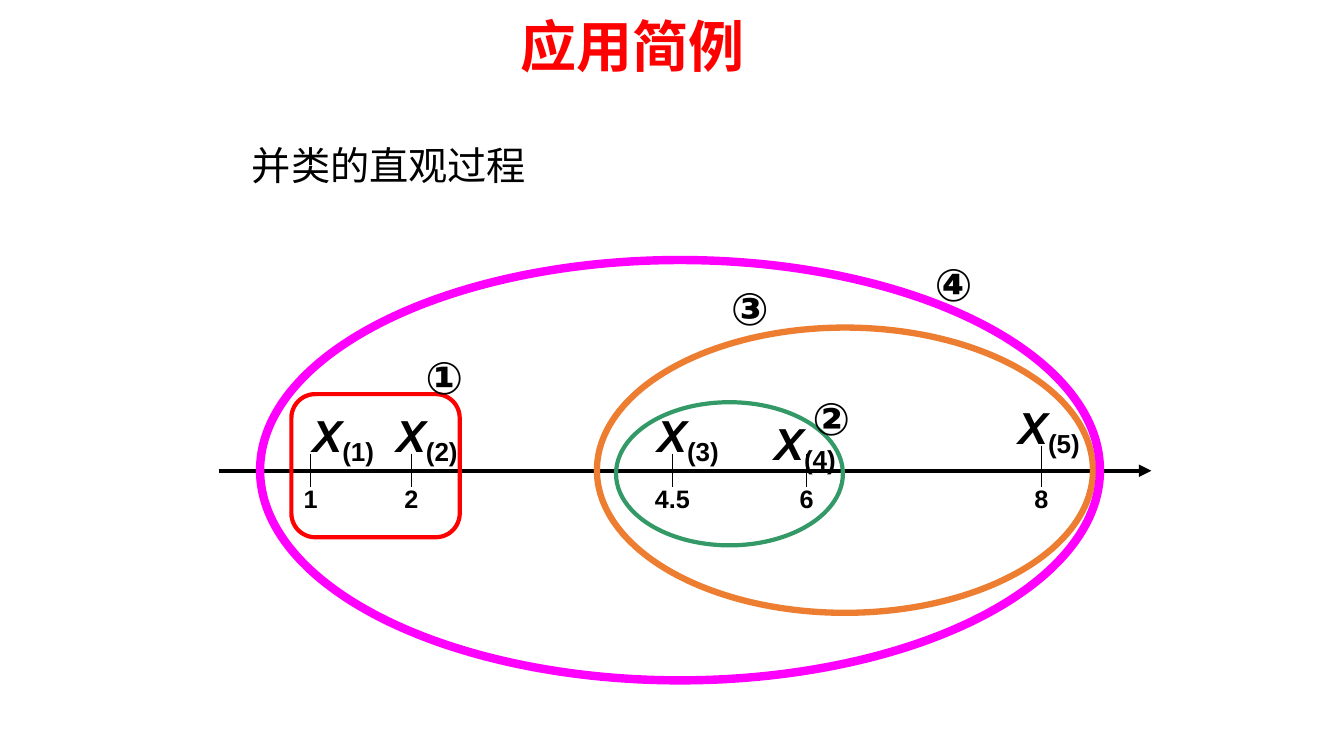
from dataclasses import dataclass

from lxml.etree import SubElement
from pptx import Presentation
from pptx.dml.color import RGBColor
from pptx.enum.shapes import MSO_CONNECTOR, MSO_SHAPE
from pptx.enum.text import MSO_ANCHOR, PP_ALIGN
from pptx.oxml.ns import qn
from pptx.util import Inches, Pt


@dataclass(frozen=True)
class Theme:
    latin: str = "Arial"
    chinese: str = "Noto Sans CJK SC"
    ink: str = "000000"
    red: str = "FF0000"
    green: str = "339966"
    orange: str = "ED7D31"
    magenta: str = "FF00FF"
    title_size: int = 40
    symbol_size: int = 32
    subtitle_size: int = 28
    value_size: int = 18


THEME = Theme()
AXIS_Y = 4.67
TICK_BOTTOM = 4.83

# value, tick x, tick top, left and top of the sample name
SAMPLES = [
    ("1", 3.08, 4.5, 3, 4),
    ("2", 4.08, 4.5, 3.83, 4),
    ("4.5", 6.67, 4.5, 6.42, 4),
    ("6", 8, 4.5, 7.58, 4.08),
    ("8", 10.33, 4.42, 10, 3.92),
]

# preset, position and size, colour, line width
CLUSTERS = [
    (MSO_SHAPE.ROUNDED_RECTANGLE, (2.89, 3.91, 1.67, 1.42), THEME.red, 3),
    (MSO_SHAPE.OVAL, (6.11, 3.99, 2.25, 1.42), THEME.green, 3),
    (MSO_SHAPE.OVAL, (5.92, 3.25, 4.92, 2.83), THEME.orange, 4.5),
    (MSO_SHAPE.OVAL, (2.58, 2.58, 8.33, 4.17), THEME.magenta, 6),
]

# merge step, left, top
STEPS = [("①", 4.12, 3.42), ("②", 7.96, 3.83), ("③", 7.15, 2.74), ("④", 9.17, 2.5)]


def place(sp, left, top, width, height):
    sp.left, sp.top = Inches(left), Inches(top)
    sp.width, sp.height = Inches(width), Inches(height)


def add_run(p, text, size, color=THEME.ink, bold=True, italic=False,
            latin=THEME.latin, chinese=None):
    r = p.add_run()
    r.text = text
    font = r.font
    font.name, font.size = latin, Pt(size)
    font.bold, font.italic = bold, italic
    font.color.rgb = RGBColor.from_string(color)
    if chinese:
        SubElement(r._r.get_or_add_rPr(), qn("a:ea")).set("typeface", chinese)
    return r


def add_label(s, left, top, width, height, align=PP_ALIGN.LEFT):
    sp = s.shapes.add_textbox(*map(Inches, (left, top, width, height)))
    sp.text_frame.word_wrap = False
    p = sp.text_frame.paragraphs[0]
    p.alignment = align
    return p


def add_line(s, x1, y1, x2, y2, width, arrow=False):
    line = s.shapes.add_connector(MSO_CONNECTOR.STRAIGHT, *map(Inches, (x1, y1, x2, y2)))
    line.line.width = Pt(width)
    line.line.color.rgb = RGBColor.from_string(THEME.ink)
    if arrow:
        SubElement(line.line._get_or_add_ln(), qn("a:tailEnd")).set("type", "triangle")
    SubElement(line._element.spPr, qn("a:effectLst"))


def add_cluster(s, preset, box, color, width):
    sp = s.shapes.add_shape(preset, *map(Inches, box))
    sp.shadow.inherit = False
    sp.fill.background()
    sp.line.width = Pt(width)
    sp.line.color.rgb = RGBColor.from_string(color)


def add_sample_name(s, number, left, top):
    p = add_label(s, left, top, 0.87, 0.64)
    add_run(p, "X", THEME.symbol_size, italic=True)
    index = add_run(p, f"({number})", THEME.symbol_size)
    index._r.get_or_add_rPr().set("baseline", "-20000")


def add_title(s, text):
    title = s.shapes.title
    place(title, 5.06, 0.06, 2.45, 0.77)
    tf = title.text_frame
    tf.word_wrap = False
    tf.vertical_anchor = MSO_ANCHOR.TOP
    p = tf.paragraphs[0]
    p.alignment = PP_ALIGN.LEFT
    add_run(p, text, THEME.title_size, THEME.red, chinese=THEME.chinese)


def main():
    prs = Presentation()
    prs.slide_width, prs.slide_height = Inches(13.33), Inches(7.5)
    s = prs.slides.add_slide(prs.slide_layouts[5])

    # Headings
    add_title(s, "应用简例")
    p = add_label(s, 2.4, 1.35, 2.92, 0.57)
    add_run(p, "并类的直观过程", THEME.subtitle_size, bold=False,
            latin=THEME.chinese, chinese=THEME.chinese)

    # Number axis with ticks and values
    add_line(s, 2.17, AXIS_Y, 11.42, AXIS_Y, 3, arrow=True)
    for value, x, tick_top, _, _ in SAMPLES:
        add_line(s, x, tick_top, x, TICK_BOTTOM, 0.75)
        p = add_label(s, x - 0.28, 4.75, 0.56, 0.4, PP_ALIGN.CENTER)
        add_run(p, value, THEME.value_size)

    # Cluster outlines and merge steps
    for cluster in CLUSTERS:
        add_cluster(s, *cluster)
    for step, left, top in STEPS:
        add_run(add_label(s, left, top, 0.65, 0.64), step, THEME.symbol_size)

    # Sample names
    for number, (_, _, _, left, top) in enumerate(SAMPLES, start=1):
        add_sample_name(s, number, left, top)

    prs.save("out.pptx")


if __name__ == "__main__":
    main()
